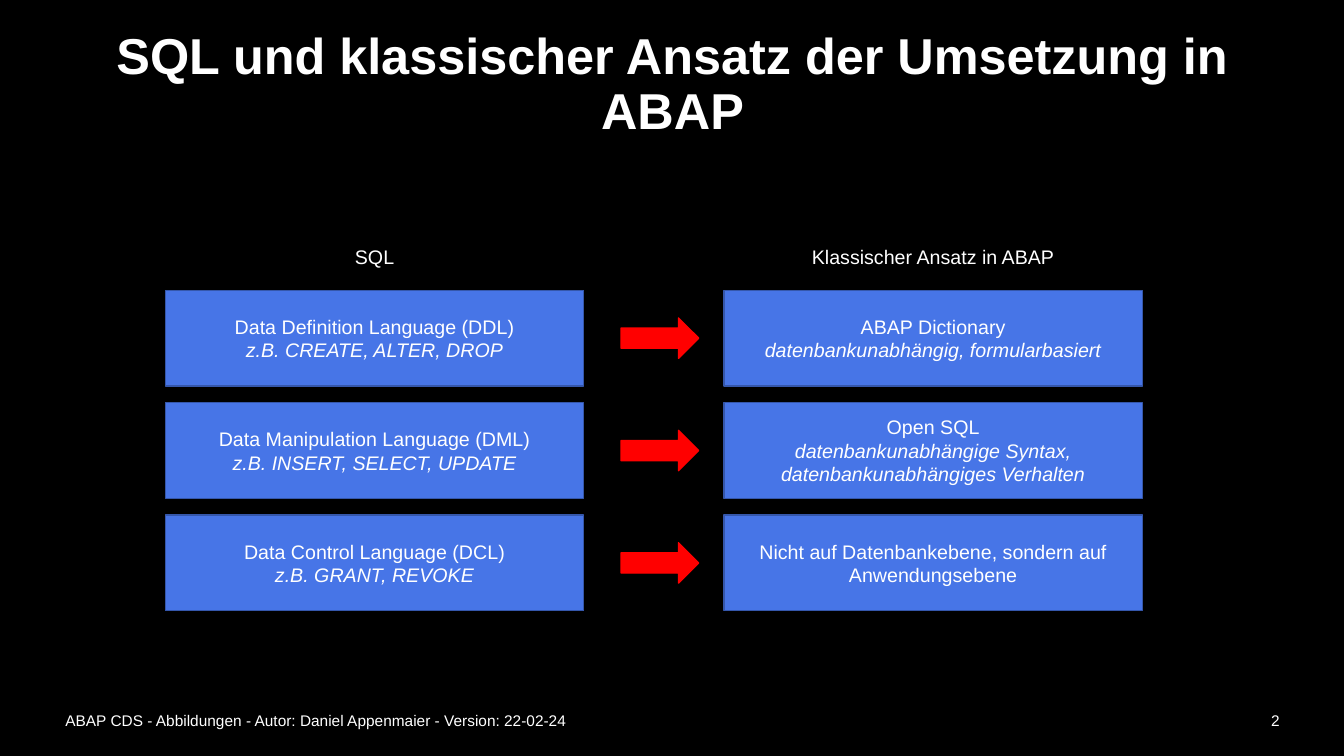
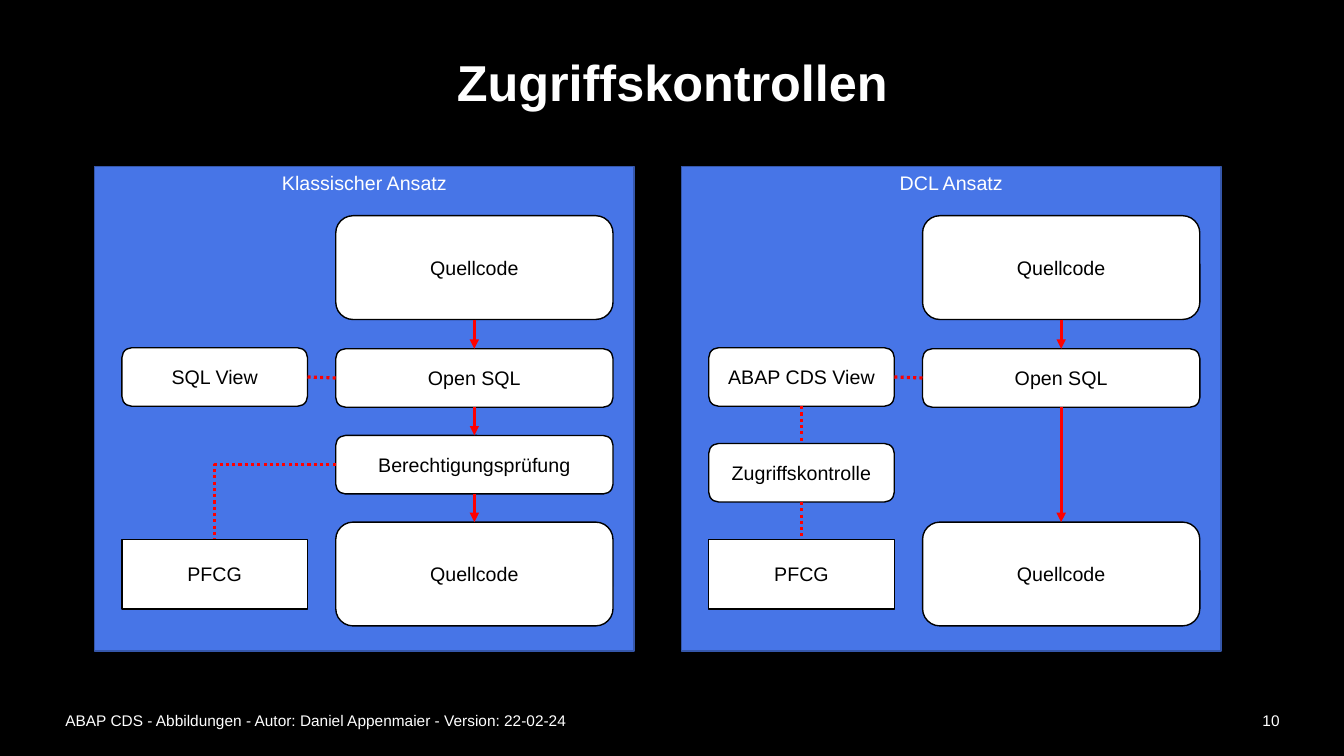
from lxml.etree import SubElement
from pptx import Presentation
from pptx.dml.color import RGBColor
from pptx.enum.dml import MSO_LINE
from pptx.enum.shapes import MSO_CONNECTOR as CXN, MSO_SHAPE as SHAPE
from pptx.enum.text import MSO_ANCHOR as ANCHOR, PP_ALIGN as ALIGN
from pptx.oxml.ns import qn
from pptx.util import Inches, Pt

BLACK = RGBColor(0x00, 0x00, 0x00)
WHITE = RGBColor(0xFF, 0xFF, 0xFF)
BLUE = RGBColor(0x47, 0x75, 0xE7)
DARK_BLUE = RGBColor(0x35, 0x57, 0xAB)
RED = RGBColor(0xFF, 0x00, 0x00)
FONT = "Arial"
TOP, LEFT, BOTTOM, RIGHT = range(4)  # connection sites

SLIDE_W, SLIDE_H = 13.33, 7.5
MARGIN, CONTENT_W = 0.55, 12.24
NUMBER_W = 0.8
FOOTER = "ABAP CDS - Abbildungen - Autor: Daniel Appenmaier - Version: 22-02-24"

# Slide 1: columns of boxes, each box a list of paragraphs
COMPARISON = [
    ("SQL", [
        ["Data Definition Language (DDL)", "z.B. CREATE, ALTER, DROP"],
        ["Data Manipulation Language (DML)", "z.B. INSERT, SELECT, UPDATE"],
        ["Data Control Language (DCL)", "z.B. GRANT, REVOKE"],
    ]),
    ("Klassischer Ansatz in ABAP", [
        ["ABAP Dictionary", "datenbankunabhängig, formularbasiert"],
        ["Open SQL", "datenbankunabhängige Syntax, datenbankunabhängiges Verhalten"],
        ["Nicht auf Datenbankebene, sondern auf Anwendungsebene"],
    ]),
]
COLUMN_X, COLUMN_PITCH, ROW_Y, ROW_PITCH = 1.64, 5.54, 2.88, 1.115
BOX_W, BOX_H = 4.15, 0.95
ARROW_X, ARROW_W, ARROW_H = 6.16, 0.77, 0.4
HEADING_Y, HEADING_H = 2.38, 0.34

# Slide 2: columns as (offset in panel, width), box kinds as (shape, height)
PANEL_X, PANEL_Y, PANEL_W, PANEL_H, PANEL_PITCH = 0.94, 1.65, 5.35, 4.81, 5.82
PANEL_COLUMNS = {"side": (0.27, 1.84), "main": (2.39, 2.75)}
KINDS = {
    "code": (SHAPE.ROUNDED_RECTANGLE, 1.03),
    "step": (SHAPE.ROUNDED_RECTANGLE, 0.58),
    "role": (SHAPE.RECTANGLE, 0.69),
}
# Boxes every panel has: key -> (text, column, kind, top)
SHARED_BOXES = {
    "start": ("Quellcode", "main", "code", 2.14),
    "sql": ("Open SQL", "main", "step", 3.46),
    "end": ("Quellcode", "main", "code", 5.18),
    "pfcg": ("PFCG", "side", "role", 5.35),
}
# Links: (from, site, to, site)
PANELS = [
    {
        "title": "Klassischer Ansatz",
        "boxes": {
            "view": ("SQL View", "side", "step", 3.45),
            "check": ("Berechtigungsprüfung", "main", "step", 4.32),
        },
        "flow": ["start", "sql", "check", "end"],
        "dotted": [("view", RIGHT, "sql", LEFT), ("check", LEFT, "pfcg", TOP)],
    },
    {
        "title": "DCL Ansatz",
        "boxes": {
            "view": ("ABAP CDS View", "side", "step", 3.45),
            "access": ("Zugriffskontrolle", "side", "step", 4.4),
        },
        "flow": ["start", "sql", "end"],
        "dotted": [
            ("view", RIGHT, "sql", LEFT),
            ("view", BOTTOM, "access", TOP),
            ("access", BOTTOM, "pfcg", TOP),
        ],
    },
]


def write(sp, paragraphs, align=ALIGN.CENTER, anchor=ANCHOR.MIDDLE,
          spacing=None, italic_rest=False, **font):
    tf = sp.text_frame
    tf.word_wrap = True
    tf.vertical_anchor = anchor
    font = {"name": FONT, "size": Pt(14), "color": WHITE, **font}
    color = font.pop("color")
    for i, text in enumerate(paragraphs):
        p = tf.add_paragraph() if i else tf.paragraphs[0]
        p.alignment = align
        if spacing:
            p.line_spacing = spacing
        r = p.add_run()
        r.text = text
        for name, value in font.items():
            setattr(r.font, name, value)
        r.font.color.rgb = color
        if italic_rest and i:
            r.font.italic = True


def add_text(s, box, text, **style):
    write(s.shapes.add_textbox(*map(Inches, box)), [text], **style)


def add_box(s, kind, box, fill, line):
    sp = s.shapes.add_shape(kind, *map(Inches, box))
    sp.shadow.inherit = False
    sp.fill.solid()
    sp.fill.fore_color.rgb = fill
    sp.line.color.rgb = line
    sp.line.width = Pt(1)
    return sp


def add_link(s, start, start_site, end, end_site, dotted=False):
    """Join two boxes: a dotted line, or a solid arrow."""
    bent = start_site % 2 != end_site % 2
    cxn = s.shapes.add_connector(CXN.ELBOW if bent else CXN.STRAIGHT, 0, 0, 0, 0)
    cxn.begin_connect(start, start_site)
    cxn.end_connect(end, end_site)
    cxn.line.color.rgb = RED
    cxn.line.width = Pt(2.25)
    sp_pr = cxn._element.spPr
    if bent:  # a single corner
        sp_pr.find(qn("a:prstGeom")).set("prst", "bentConnector2")
    if dotted:
        cxn.line.dash_style = MSO_LINE.ROUND_DOT
    else:
        SubElement(sp_pr.find(qn("a:ln")), qn("a:tailEnd"), type="triangle")
    SubElement(sp_pr, qn("a:effectLst"))


def add_slide(prs, title, number):
    s = prs.slides.add_slide(prs.slide_layouts[6])
    s.background.fill.solid()
    s.background.fill.fore_color.rgb = BLACK
    add_text(s, (MARGIN, 0.25, CONTENT_W, 1.2), title,
             spacing=0.9, size=Pt(36), bold=True)
    footer_w = CONTENT_W - NUMBER_W
    add_text(s, (MARGIN, 6.95, footer_w, 0.4), FOOTER,
             align=ALIGN.LEFT, size=Pt(11))
    add_text(s, (MARGIN + footer_w, 6.95, NUMBER_W, 0.4), str(number),
             align=ALIGN.RIGHT, size=Pt(11))
    return s


def add_comparison(s):
    for col, (heading, boxes) in enumerate(COMPARISON):
        x = COLUMN_X + col * COLUMN_PITCH
        add_text(s, (x, HEADING_Y, BOX_W, HEADING_H), heading)
        for row, paragraphs in enumerate(boxes):
            y = ROW_Y + row * ROW_PITCH
            sp = add_box(s, SHAPE.RECTANGLE, (x, y, BOX_W, BOX_H), BLUE, DARK_BLUE)
            write(sp, paragraphs, italic_rest=True)
    for row in range(len(COMPARISON[0][1])):
        y = ROW_Y + row * ROW_PITCH + (BOX_H - ARROW_H) / 2
        add_box(s, SHAPE.RIGHT_ARROW, (ARROW_X, y, ARROW_W, ARROW_H), RED, RED)


def add_panel(s, x, panel):
    frame = add_box(s, SHAPE.RECTANGLE, (x, PANEL_Y, PANEL_W, PANEL_H), BLUE, DARK_BLUE)
    write(frame, [panel["title"]], anchor=ANCHOR.TOP)
    boxes = {}
    for key, (text, column, kind, y) in {**SHARED_BOXES, **panel["boxes"]}.items():
        offset, width = PANEL_COLUMNS[column]
        shape, height = KINDS[kind]
        boxes[key] = add_box(s, shape, (x + offset, y, width, height), WHITE, BLACK)
        write(boxes[key], [text], color=BLACK)
    for start, end in zip(panel["flow"], panel["flow"][1:]):
        add_link(s, boxes[start], BOTTOM, boxes[end], TOP)
    for start, start_site, end, end_site in panel["dotted"]:
        add_link(s, boxes[start], start_site, boxes[end], end_site, dotted=True)


def main():
    prs = Presentation()
    prs.slide_width, prs.slide_height = Inches(SLIDE_W), Inches(SLIDE_H)
    add_comparison(add_slide(prs, "SQL und klassischer Ansatz der Umsetzung in ABAP", 2))
    s = add_slide(prs, "Zugriffskontrollen", 10)
    for i, panel in enumerate(PANELS):
        add_panel(s, PANEL_X + i * PANEL_PITCH, panel)
    prs.save("out.pptx")


if __name__ == "__main__":
    main()
